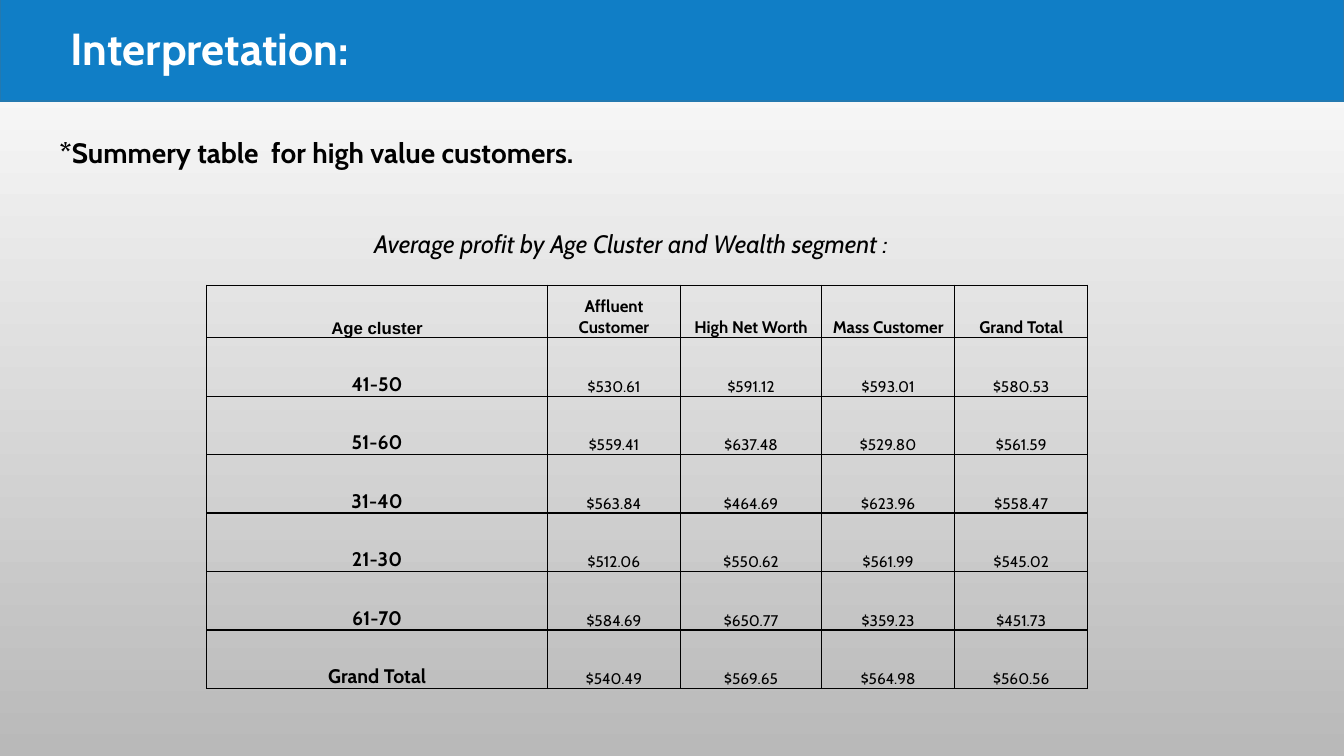
from lxml.etree import SubElement
from pptx import Presentation
from pptx.dml.color import RGBColor
from pptx.enum.shapes import MSO_SHAPE
from pptx.enum.text import MSO_ANCHOR, PP_ALIGN
from pptx.oxml.ns import qn
from pptx.util import Inches, Pt

TITLE = "Interpretation:"
SUBTITLE = "*Summery table  for high value customers."
CAPTION = "Average profit by Age Cluster and Wealth segment :"
HEADER = ["Age cluster", "Affluent Customer", "High Net Worth", "Mass Customer", "Grand Total"]
PROFITS = {
    "41-50": [530.61, 591.12, 593.01, 580.53],
    "51-60": [559.41, 637.48, 529.80, 561.59],
    "31-40": [563.84, 464.69, 623.96, 558.47],
    "21-30": [512.06, 550.62, 561.99, 545.02],
    "61-70": [584.69, 650.77, 359.23, 451.73],
    "Grand Total": [540.49, 569.65, 564.98, 560.56],
}
COLUMN_WIDTHS = [3.38, 1.32, 1.4, 1.32, 1.32]
HEADER_HEIGHT, ROW_HEIGHT = 0.52, 0.58
BLACK, WHITE = "000000", "FFFFFF"


def color(value):
    return RGBColor.from_string(value)


def write(text_frame, text, size, align=PP_ALIGN.LEFT, bold=False, italic=False,
          ink=BLACK, font_name="Cabin"):
    text_frame.text = text
    paragraph = text_frame.paragraphs[0]
    paragraph.alignment = align
    font = paragraph.runs[0].font
    font.name, font.size, font.bold, font.italic = font_name, Pt(size), bold, italic
    font.color.rgb = color(ink)


def place(shape, left, top, width, height):
    shape.left, shape.top = Inches(left), Inches(top)
    shape.width, shape.height = Inches(width), Inches(height)


def add_label(slide, box, *args, **options):
    label = slide.shapes.add_textbox(*map(Inches, box))
    label.text_frame.word_wrap = True
    write(label.text_frame, *args, **options)


def add_borders(cell):
    properties = cell._tc.get_or_add_tcPr()
    for side in ("lnL", "lnR", "lnT", "lnB"):
        line = SubElement(properties, qn(f"a:{side}"), w=str(Pt(1)))
        fill = SubElement(line, qn("a:solidFill"))
        SubElement(fill, qn("a:srgbClr"), val=BLACK)


def fill_cell(cell, text, size, bold, font_name="Cabin"):
    add_borders(cell)
    cell.fill.background()
    cell.vertical_anchor = MSO_ANCHOR.BOTTOM
    cell.margin_left = cell.margin_right = cell.margin_top = Inches(0.01)
    cell.margin_bottom = 0
    write(cell.text_frame, text, size, PP_ALIGN.CENTER, bold, font_name=font_name)


def add_profit_table(slide):
    height = HEADER_HEIGHT + ROW_HEIGHT * len(PROFITS)
    frame = slide.shapes.add_table(len(PROFITS) + 1, len(HEADER), Inches(2.05), Inches(2.83),
                                   Inches(sum(COLUMN_WIDTHS)), Inches(height))
    table = frame.table
    table.first_row = table.horz_banding = False
    for column, width in zip(table.columns, COLUMN_WIDTHS):
        column.width = Inches(width)
    for index, row in enumerate(table.rows):
        row.height = Inches(ROW_HEIGHT if index else HEADER_HEIGHT)
    for index, heading in enumerate(HEADER):
        fill_cell(table.cell(0, index), heading, 12, True, "Cabin" if index else "Arial")
    for row, (cluster, profits) in enumerate(PROFITS.items(), 1):
        fill_cell(table.cell(row, 0), cluster, 14, True)
        for column, profit in enumerate(profits, 1):
            fill_cell(table.cell(row, column), f"${profit:.2f}", 11, False)


def add_title(slide):
    band = slide.shapes.add_shape(MSO_SHAPE.RECTANGLE, 0, 0, 0, 0)
    place(band, 0, -0.1, 13.33, 1.1)
    band.shadow.inherit = False
    band.fill.solid()
    band.fill.fore_color.rgb = color("107EC6")
    band.line.color.rgb = color("2379B0")
    band.line.width = Pt(1.25)
    title = slide.shapes.title
    band._element.addnext(title._element)
    place(title, 0.6, 0.16, 4.18, 0.64)
    title.text_frame.vertical_anchor = MSO_ANCHOR.TOP
    write(title.text_frame, TITLE, 32, bold=True, ink=WHITE)


def set_background(slide):
    fill = slide.background.fill
    fill.gradient()
    fill.gradient_angle = 270
    for stop, position, shade in zip(fill.gradient_stops, (0, 1), (WHITE, "B9B9B9")):
        stop.position = position
        stop.color.rgb = color(shade)


def main():
    presentation = Presentation()
    presentation.slide_width, presentation.slide_height = Inches(13.33), Inches(7.5)
    slide = presentation.slides.add_slide(presentation.slide_layouts[5])
    set_background(slide)
    add_title(slide)
    add_profit_table(slide)
    add_label(slide, (2.96, 2.22, 6.6, 0.4), CAPTION, 18, PP_ALIGN.CENTER, italic=True)
    add_label(slide, (0.49, 1.3, 5.54, 0.44), SUBTITLE, 20, bold=True)
    presentation.save("out.pptx")


if __name__ == "__main__":
    main()
